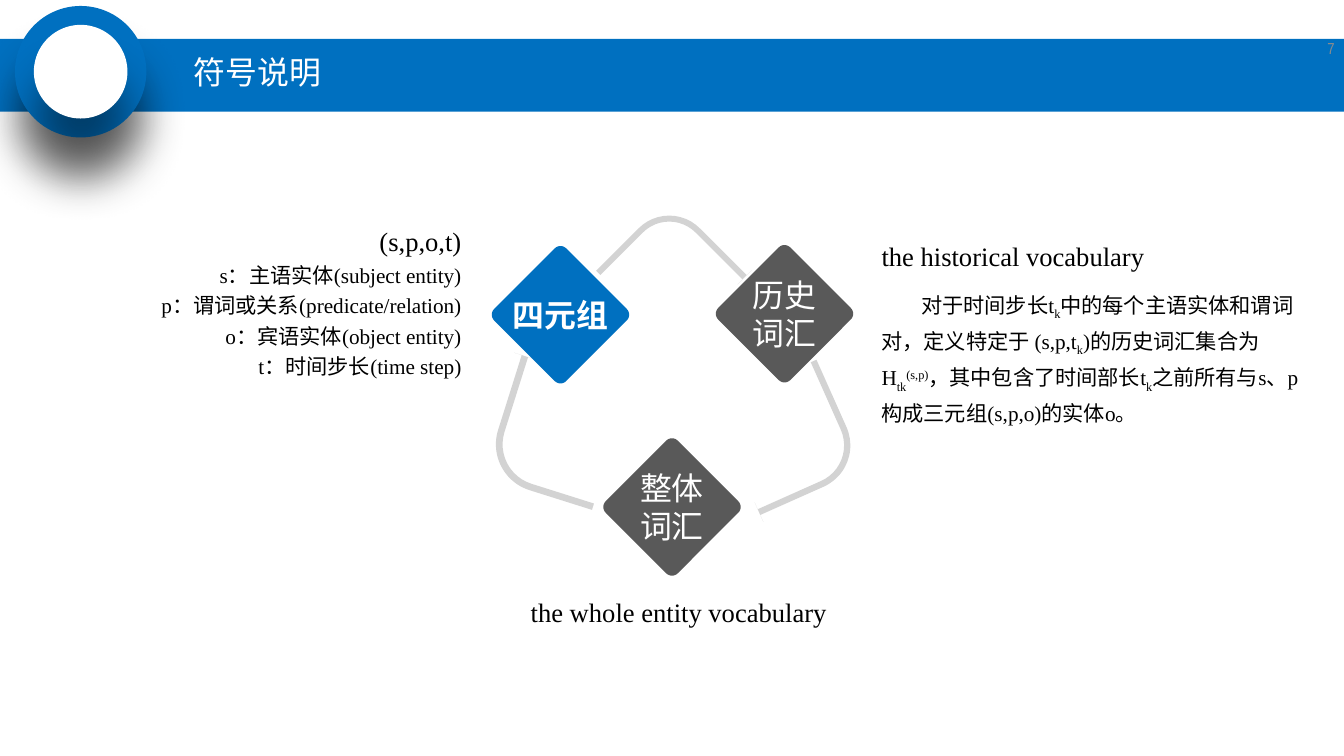
from math import cos, pi, sin

from lxml.etree import SubElement
from pptx import Presentation
from pptx.dml.color import RGBColor
from pptx.enum.shapes import MSO_SHAPE as Shape
from pptx.enum.text import MSO_ANCHOR as Anchor, PP_ALIGN as Align
from pptx.oxml.ns import qn
from pptx.util import Pt

PX = 9525
COLORS = {
    "blue": "0070C0",
    "white": "FFFFFF",
    "dark": "595959",
    "link": "B2B2B2",
    "number": "8C8C8C",
    "text": "000000",
}
LABEL_FONT = "Arial Narrow"
BODY_FONT = "Times New Roman"
CHINESE_FONT = "Noto Sans CJK SC"
SUB, SUPER = -25000, 30000


def px(length):
    """Turn pixels into EMU."""
    return round(length * PX)


def paint(shape, color):
    """Give a shape a plain fill without line or shadow."""
    shape.shadow.inherit = False
    shape.fill.solid()
    shape.fill.fore_color.rgb = RGBColor.from_string(COLORS[color])
    shape.line.fill.background()


def add_preset(slide, kind, box, color):
    """Add a painted preset shape in a pixel box."""
    shape = slide.shapes.add_shape(kind, *map(px, box))
    paint(shape, color)
    return shape


def add_text_box(slide, box, anchor=Anchor.TOP):
    """Add a wrapping text box and return its text frame."""
    frame = slide.shapes.add_textbox(*map(px, box)).text_frame
    frame.word_wrap = True
    frame.vertical_anchor = anchor
    return frame


def add_run(paragraph, text, size, color="text", font=BODY_FONT, bold=False, baseline=0):
    """Add one formatted run to a paragraph."""
    run = paragraph.add_run()
    run.text = text
    run.font.size = Pt(size)
    run.font.name = font
    run.font.bold = bold
    run.font.color.rgb = RGBColor.from_string(COLORS[color])
    properties = run._r.get_or_add_rPr()
    SubElement(properties, qn("a:ea")).set("typeface", CHINESE_FONT)
    if baseline:
        properties.set("baseline", str(baseline))


def add_paragraph(frame, index, align=Align.LEFT, spacing=None, before=None):
    """Return the paragraph at the end of a frame, adding it after the first."""
    paragraph = frame.add_paragraph() if index else frame.paragraphs[0]
    paragraph.alignment = align
    paragraph.line_spacing = spacing
    paragraph.space_before = before
    return paragraph


def add_shadow(shape):
    """Cast a soft black shadow straight down."""
    effects = shape.element.spPr.find(qn("a:effectLst"))
    shadow = SubElement(effects, qn("a:outerShdw"), blurRad=str(Pt(33)),
                        dist=str(Pt(33)), dir="5400000", algn="t", rotWithShape="0")
    color = SubElement(shadow, qn("a:srgbClr"), val=COLORS["text"])
    SubElement(color, qn("a:alpha"), val="43000")


def draw_header(slide, left, top, width, title, number):
    """Draw the title band with its ring and the slide number."""
    add_preset(slide, Shape.RECTANGLE, (left, top, width, 73), "blue")
    for size, color in ((132, "blue"), (94, "white")):
        corner = (left + 81 - size / 2, top + 33 - size / 2)
        add_shadow(add_preset(slide, Shape.OVAL, (*corner, size, size), color))
    frame = add_text_box(slide, (left + 185, top + 9, 333, 53), Anchor.MIDDLE)
    paragraph = add_paragraph(frame, 0, spacing=0.9, before=Pt(10))
    add_run(paragraph, title, 24, "white", LABEL_FONT)
    frame = add_text_box(slide, (left + width - 66, top - 11, 66, 40), Anchor.MIDDLE)
    add_run(add_paragraph(frame, 0, Align.RIGHT), number, 12, "number", LABEL_FONT)


def draw_diamond(slide, center_x, center_y, color, lines, bold=False):
    """Draw a diamond with rounded corners and a centred label."""
    half, radius, steps = 69, 8, 8
    points = []
    for corner in range(4):
        direction = corner * pi / 2
        for step in range(steps + 1):
            angle = direction + (step / steps - 0.5) * pi / 2
            points.append((
                px(center_x + (half - radius) * cos(direction) + radius * cos(angle)),
                px(center_y + (half - radius) * sin(direction) + radius * sin(angle)),
            ))
    builder = slide.shapes.build_freeform(*points[0])
    builder.add_line_segments(points[1:], close=True)
    diamond = builder.convert_to_shape()
    paint(diamond, color)
    frame = diamond.text_frame
    frame.word_wrap = True
    frame.vertical_anchor = Anchor.MIDDLE
    for index, line in enumerate(lines):
        paragraph = add_paragraph(frame, index, Align.CENTER)
        add_run(paragraph, line, 24, "white", CHINESE_FONT if bold else LABEL_FONT, bold)


def draw_link(slide, box, rotation):
    """Draw a translucent bent band between two diamonds."""
    link = add_preset(slide, Shape.BENT_ARROW, box, "link")
    for index, value in enumerate((0.055, 0.093, 0, 0.395)):
        link.adjustments[index] = value
    link.rotation = rotation
    transform = link.element.spPr.find(qn("a:xfrm"))
    transform.set("flipH", "1")
    transform.set("flipV", "1")
    color = link.element.spPr.find(qn("a:solidFill"))[0]
    SubElement(color, qn("a:alpha"), val="56000")


def draw_cycle(slide, left, top):
    """Draw the three diamonds joined by bent links."""
    for x, y, width, height, rotation in (
        (130, 0, 110, 111, 225), (244, 163, 115, 127, 336), (0, 156, 127, 122, 107.5),
    ):
        draw_link(slide, (left + x, top + y, width, height), rotation)
    draw_diamond(slide, left + 296, top + 99, "dark", ("历史", "词汇"))
    draw_diamond(slide, left + 71, top + 100, "blue", ("四元组",), bold=True)
    draw_diamond(slide, left + 183, top + 293, "dark", ("整体", "词汇"))


def draw_notes(slide, box, heading, lines=()):
    """Write a right-aligned heading with lines of explanation."""
    frame = add_text_box(slide, box)
    for index, line in enumerate((heading, *lines)):
        paragraph = add_paragraph(frame, index, Align.RIGHT, Pt(18.8), Pt(4.2))
        add_run(paragraph, line, 16 if index else 20)


def draw_history(slide, box):
    """Write the definition of the historical vocabulary."""
    frame = add_text_box(slide, box)
    heading = add_paragraph(frame, 0, spacing=1.25, before=Pt(10))
    add_run(heading, "the historical vocabulary", 20)
    definition = add_paragraph(frame, 1, spacing=1.25, before=Pt(10))
    definition._p.get_or_add_pPr().set("indent", str(px(40)))
    for text, baseline in (
        ("对于时间步长t", 0), ("k", SUB),
        ("中的每个主语实体和谓词对，定义特定于 (s,p,t", 0), ("k", SUB),
        (")的历史词汇集合为H", 0), ("tk", SUB), ("(s,p)", SUPER),
        ("，其中包含了时间部长t", 0), ("k", SUB),
        ("之前所有与s、p构成三元组(s,p,o)的实体o。", 0),
    ):
        add_run(definition, text, 16, baseline=baseline)


def main():
    """Build the slide and save it."""
    presentation = Presentation()
    presentation.slide_width, presentation.slide_height = px(1350), px(759)
    slide = presentation.slides.add_slide(presentation.slide_layouts[6])
    draw_header(slide, 0, 39, 1350, "符号说明", "7")
    draw_cycle(slide, 492, 216)
    draw_history(slide, (876, 228, 438, 189))
    draw_notes(slide, (110, 228, 363, 156), "(s,p,o,t)", (
        "s：主语实体(subject entity)",
        "p：谓词或关系(predicate/relation)",
        "o：宾语实体(object entity)",
        "t：时间步长(time step)",
    ))
    draw_notes(slide, (477, 601, 363, 34), "the whole entity vocabulary")
    presentation.save("out.pptx")


if __name__ == "__main__":
    main()
